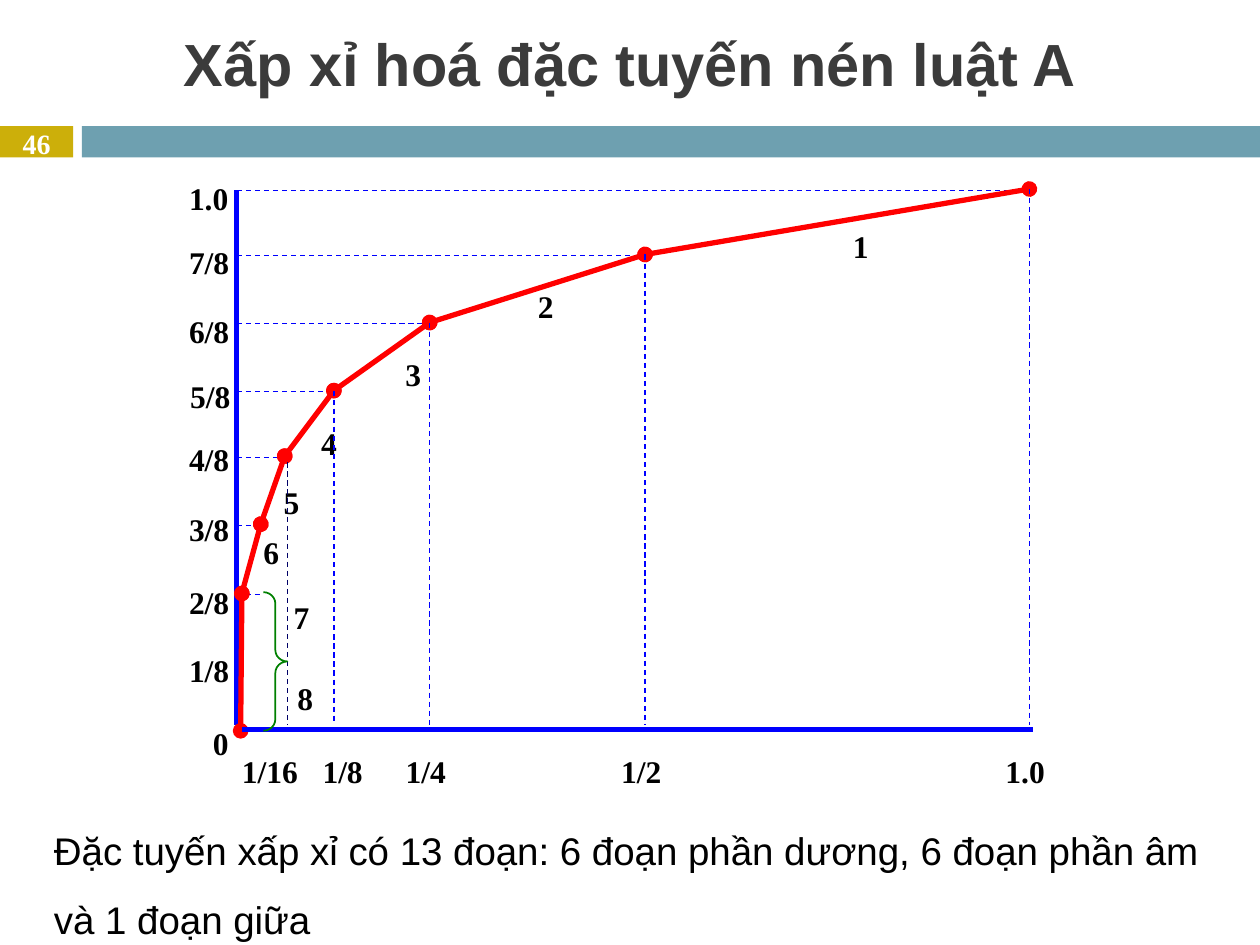
from pptx import Presentation
from pptx.dml.color import RGBColor
from pptx.enum import dml, shapes, text
from pptx.oxml import ns
from pptx.util import Inches, Pt
from lxml import etree

# Content
TITLE = "Xấp xỉ hoá đặc tuyến nén luật A"
PAGE = "46"
CAPTION = ("Đặc tuyến xấp xỉ có 13 đoạn: 6 đoạn phần dương, "
           "6 đoạn phần âm và 1 đoạn giữa")
# Breakpoints of the compression curve, from the origin up to (1.0, 1.0)
CURVE = [(1.91, 5.8), (1.92, 4.71), (2.07, 4.16), (2.26, 3.62),
         (2.65, 3.1), (3.41, 2.56), (5.12, 2.02), (8.17, 1.5)]
INPUT_LABELS = [("1/16", 1.92), ("1/8", 2.56), ("1/4", 3.22),
                ("1/2", 4.93), ("1.0", 7.98)]
OUTPUT_LABELS = [("1.0", 1.5, 1.42), ("7/8", 1.5, 1.93), ("6/8", 1.5, 2.48),
                 ("5/8", 1.51, 2.99), ("4/8", 1.5, 3.49), ("3/8", 1.5, 4.05),
                 ("2/8", 1.5, 4.63), ("1/8", 1.5, 5.17), ("0", 1.69, 5.75)]
LOW_SEGMENTS = [("5", 2.25, 3.83), ("6", 2.09, 4.23),
                ("7", 2.33, 4.75), ("8", 2.36, 5.39)]
HIGH_SEGMENTS = [("1", 6.67, 1.75), ("2", 4.17, 2.23),
                 ("3", 3.12, 2.77), ("4", 2.45, 3.32)]

THEME = {
    "heading_font": "Arial", "label_font": "Times New Roman",
    "title_size": 34, "caption_size": 22, "label_size": 18, "page_size": 16,
    "title": "3B3B3B", "ink": "000000", "white": "FFFFFF",
    "gold": "CCAF0A", "teal": "6EA0B0",
    "axis": "0000FF", "curve": "FF0000", "brace": "008000", "navy": "000066",
    "thick": 3, "thin": 0.75,
}
AXIS_X, AXIS_TOP, GUIDE_END = 1.88, 1.51, 5.75

deck = Presentation()
deck.slide_width, deck.slide_height = Inches(10), Inches(7.5)
slide = deck.slides.add_slide(deck.slide_layouts[5])


def color(name):
    return RGBColor.from_string(THEME[name])


def write(frame, words, size, font, ink, bold=True, align=text.PP_ALIGN.LEFT):
    paragraph = frame.paragraphs[0]
    paragraph.alignment = align
    run = paragraph.add_run()
    run.text = words
    run.font.size, run.font.name = Pt(THEME[size]), THEME[font]
    run.font.bold = bold
    run.font.color.rgb = color(ink)
    return paragraph


def text_box(left, top, width, height):
    frame = slide.shapes.add_textbox(*map(Inches, (left, top, width, height))).text_frame
    frame.word_wrap = True
    return frame


def label(words, left, top, width=0.38, height=0.37, padded=False):
    frame = text_box(left, top, width, height)
    if not padded:
        frame.margin_left = frame.margin_right = 0
        frame.margin_top = frame.margin_bottom = 0
    write(frame, words, "label_size", "label_font", "ink")


def line(start, end, ink, weight, dashed=False, dots=False):
    link = slide.shapes.add_connector(
        shapes.MSO_CONNECTOR.STRAIGHT, *map(Inches, (*start, *end)))
    link.line.color.rgb = color(ink)
    link.line.width = Pt(THEME[weight])
    if dashed:
        link.line.dash_style = dml.MSO_LINE.DASH
    if dots:
        for tag in ("a:headEnd", "a:tailEnd"):
            etree.SubElement(link.line._get_or_add_ln(), ns.qn(tag), type="oval")
    etree.SubElement(link._element.spPr, ns.qn("a:effectLst"))


# Header bars and page number
for left, width, fill in [(0, 0.58, "gold"), (0.65, 9.35, "teal")]:
    bar = slide.shapes.add_shape(shapes.MSO_SHAPE.RECTANGLE,
                                 *map(Inches, (left, 1, width, 0.25)))
    bar.shadow.inherit = False
    bar.fill.solid()
    bar.fill.fore_color.rgb = color(fill)
    bar.line.fill.background()
page = text_box(0, 1, 0.58, 0.27)
page.vertical_anchor = text.MSO_ANCHOR.MIDDLE
write(page, PAGE, "page_size", "label_font", "white", align=text.PP_ALIGN.CENTER)

# Axis and segment labels
for words, left in INPUT_LABELS:
    label(words, left, 5.97, 0.57 if len(words) > 3 else 0.38, 0.29)
for words, left, top in OUTPUT_LABELS:
    label(words, left, top)
for words, left, top in LOW_SEGMENTS:
    label(words, left, top, width=0.19)
for words, left, top in HIGH_SEGMENTS:
    label(words, left, top, width=0.57, padded=True)

# Horizontal guides, axes and curve
for x, y in CURVE[1:]:
    line((AXIS_X, y + 0.01), (max(x, 2.07), y + 0.01), "axis", "thin", dashed=True)
line((AXIS_X, AXIS_TOP), (AXIS_X, GUIDE_END), "axis", "thick")
for start, end in zip(CURVE, CURVE[1:]):
    line(start, end, "curve", "thick", dots=True)
line((1.92, 5.79), (8.2, 5.79), "axis", "thick")

# Vertical guides
for x, y in CURVE[4:]:
    line((x, y), (x, GUIDE_END), "axis", "thin", dashed=True)
line((2.28, 3.67), (2.28, GUIDE_END), "navy", "thin", dashed=True)

# Brace over segments 7 and 8
brace = slide.shapes.add_shape(shapes.MSO_SHAPE.RIGHT_BRACE,
                               *map(Inches, (2.09, 4.7, 0.19, 1.1)))
brace.adjustments[0], brace.adjustments[1] = 0.48, 0.5
brace.shadow.inherit = False
brace.fill.background()
brace.line.color.rgb = color("brace")
brace.line.width = Pt(1)

# Caption and title
caption = write(text_box(0.33, 6.33, 9.33, 1.18), CAPTION,
                "caption_size", "heading_font", "ink", bold=False)
caption.line_spacing = 1.5

title = slide.shapes.title
title.left, title.top, title.width, title.height = map(Inches, (0, 0.08, 10, 0.83))
title.text_frame.vertical_anchor = text.MSO_ANCHOR.MIDDLE
write(title.text_frame, TITLE, "title_size", "heading_font", "title",
      align=text.PP_ALIGN.CENTER)

deck.save("out.pptx")
